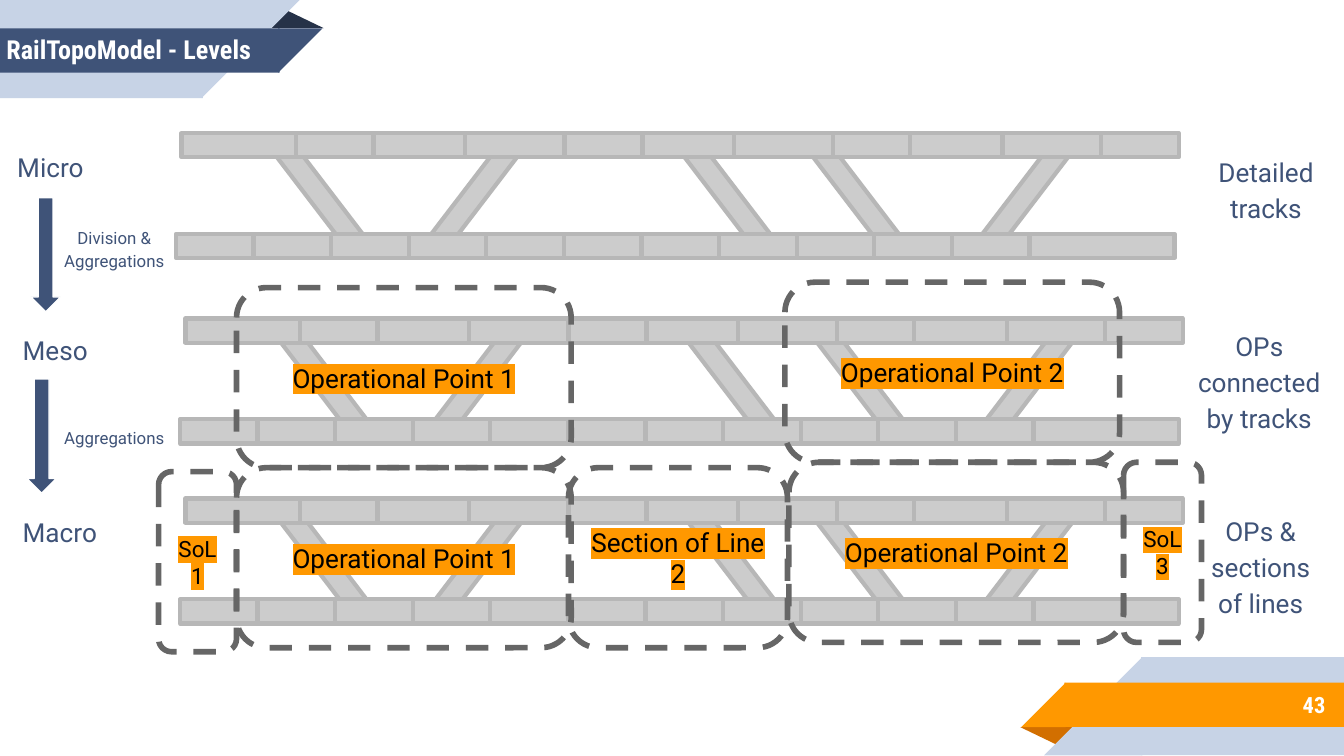
from pptx import Presentation
from pptx.dml.color import RGBColor
from pptx.enum.dml import MSO_LINE_DASH_STYLE as Dash
from pptx.enum.shapes import MSO_SHAPE as Shape
from pptx.enum.text import MSO_ANCHOR as Anchor, PP_ALIGN as Align
from pptx.oxml.ns import qn
from pptx.util import Inches, Pt
from lxml.etree import SubElement

NAVY, ORANGE, PALE, WHITE = "3F5378", "FF9800", "C7D3E6", "FFFFFF"
STEEL, STEEL_EDGE, DASH_GREY = "CCCCCC", "B7B7B7", "666666"
TOP_JOINTS = [0.04, 0.89, 1.47, 2.15, 2.89, 3.47, 4.15, 4.89, 5.46, 6.15, 6.88, 7.46]
BOTTOM_JOINTS = [6.35 * step / 11 for step in range(12)] + [7.43]
CROSSOVERS = [(4.59, 0.4, 52.6), (5.85, 0.37, 307.4), (0.6, 0.4, 52.6),
              (3.61, 0.37, 52.6), (1.75, 0.37, 307.4)]


def colour(value):
    """Turn a hex string into a colour."""
    return RGBColor.from_string(value)


def add_part(page, kind, box, fill=None, line=None, width=1, rotation=0, flip=False):
    """Add one preset shape with a flat fill and an optional outline."""
    part = page.shapes.add_shape(kind, *map(Inches, box))
    part.shadow.inherit = False
    part.rotation = rotation
    if fill:
        part.fill.solid()
        part.fill.fore_color.rgb = colour(fill)
    else:
        part.fill.background()
    if line:
        part.line.color.rgb = colour(line)
        part.line.width = Pt(width)
    else:
        part.line.fill.background()
    if flip:
        part._element.spPr.find(qn("a:xfrm")).set("flipH", "1")
    return part


def write(holder, text, size, ink=NAVY, align=Align.CENTER, anchor=Anchor.TOP,
          face="Roboto", bold=False, spacing=1.0, highlight=None):
    """Write one paragraph into a shape or text box."""
    frame = holder.text_frame
    margins = {f"margin_{side}": Inches(0.1) for side in ("left", "top", "right", "bottom")}
    for name, value in {"word_wrap": True, "vertical_anchor": anchor, **margins}.items():
        setattr(frame, name, value)
    para = frame.paragraphs[0]
    para.alignment, para.line_spacing = align, spacing
    span = para.add_run()
    span.text = text
    for name, value in {"name": face, "size": Pt(size), "bold": bold}.items():
        setattr(span.font, name, value)
    span.font.color.rgb = colour(ink)
    if highlight:
        props = span._r.get_or_add_rPr()
        marker = SubElement(props, qn("a:highlight"))
        SubElement(marker, qn("a:srgbClr"), val=highlight)
        props.find(qn("a:solidFill")).addnext(marker)


def add_label(page, box, text, size, **style):
    """Add a text box holding one paragraph."""
    write(page.shapes.add_textbox(*map(Inches, box)), text, size, **style)


def add_banner(page, box, bar, fold, turned=False):
    """Draw a folded ribbon in its box, turned half round if asked."""
    left, top, width, height = box
    parts = [(Shape.ISOSCELES_TRIANGLE, 1.98, 0.07, 0.43, 0.14, fold),
             (Shape.RECTANGLE, 0, 0, 1.51, 0.73, PALE),
             (Shape.RIGHT_TRIANGLE, 1.5, 0, 0.73, 0.73, PALE),
             (Shape.RECTANGLE, 0, 0.21, 2.08, 0.33, bar),
             (Shape.RIGHT_TRIANGLE, 2.07, 0.21, 0.33, 0.33, bar)]
    for kind, x, y, w, h, fill in parts:
        if turned:
            x, y = width - x - w, height - y - h
        is_fold = kind == Shape.ISOSCELES_TRIANGLE
        part = add_part(page, kind, (left + x, top + y, w, h), fill,
                        rotation=180 if is_fold == turned else 0, flip=not is_fold)
        if is_fold:
            part.adjustments[0] = 0.324


def add_tracks(page, left, top):
    """Draw two rails of track segments joined by crossovers."""
    steel = {"fill": STEEL, "line": STEEL_EDGE, "width": 2.25}
    for x, y, angle in CROSSOVERS:
        add_part(page, Shape.RECTANGLE, (left + x, top + y, 0.96, 0.16),
                 rotation=angle, **steel)
    for y, joints in ((0.75, BOTTOM_JOINTS), (0, TOP_JOINTS)):
        for start, end in zip(joints, joints[1:]):
            add_part(page, Shape.RECTANGLE, (left + start, top + y, end - start, 0.18), **steel)


def add_zone(page, left, top, width, text, size=14):
    """Draw a dashed zone with a highlighted name."""
    zone = add_part(page, Shape.ROUNDED_RECTANGLE, (left, top, width, 1.34),
                    line=DASH_GREY, width=3)
    zone.line.dash_style = Dash.DASH
    write(zone, text, size, ink="000000", anchor=Anchor.MIDDLE, highlight=ORANGE)


def add_levels(page, left, top):
    """Place the level names, the arrows and the notes on each step."""
    for x, y, name in ((0, 0, "Micro"), (0.04, 1.36, "Meso"), (0.04, 2.72, "Macro")):
        add_label(page, (left + x, top + y, 0.86, 0.44), name, 14,
                  align=Align.LEFT, spacing=1.15)
    for x, y in ((0.2, 0.48), (0.17, 1.83)):
        add_part(page, Shape.DOWN_ARROW, (left + x, top + y, 0.22, 0.85), NAVY, WHITE, 0.75)
    for y, h, note in ((0.58, 0.53, "Division & Aggregations"), (2.08, 0.35, "Aggregations")):
        add_label(page, (left + 0.3, top + y, 1.04, h), note, 9, spacing=1.15)


def add_descriptions(page, left, top):
    """Describe each level at the right of its tracks."""
    for x, y, w, h, text in ((0.09, 0, 1.08, 0.71, "Detailed tracks"),
                             (0, 1.29, 1.16, 0.98, "OPs connected by tracks"),
                             (0.05, 2.67, 1.08, 0.98, "OPs & sections of lines")):
        add_label(page, (left + x, top + y, w, h), text, 14, spacing=1.15)


def build_page(page):
    """Compose the whole slide."""
    add_banner(page, (7.6, 4.89, 2.4, 0.73), ORANGE, "D26F00", turned=True)
    add_banner(page, (0, 0, 2.4, 0.73), NAVY, "263248")
    heading = {"ink": WHITE, "anchor": Anchor.MIDDLE, "face": "Roboto Condensed", "bold": True}
    add_label(page, (8.33, 5.07, 1.63, 0.35), "43", 12, align=Align.RIGHT, **heading)
    add_label(page, (-0.05, 0.14, 2.73, 0.45), "RailTopoModel - Levels", 14,
              align=Align.LEFT, **heading)
    for left, top in ((1.31, 0.99), (1.34, 2.37), (1.34, 3.71)):
        add_tracks(page, left, top)
    add_levels(page, 0.03, 0.99)
    add_descriptions(page, 8.79, 1.03)
    for zone in ((1.76, 2.14, 2.49, "Operational Point 1"),
                 (5.84, 2.1, 2.49, "Operational Point 2"),
                 (1.76, 3.48, 2.49, "Operational Point 1"),
                 (5.87, 3.44, 2.49, "Operational Point 2"),
                 (4.23, 3.48, 1.63, "Section of Line 2"),
                 (1.18, 3.51, 0.58, "SoL1", 12),
                 (8.36, 3.44, 0.58, "SoL3", 12)):
        add_zone(page, *zone)


def main():
    """Create the deck and save it."""
    deck = Presentation()
    deck.slide_width = Inches(10)
    deck.slide_height = deck.slide_width * 9 // 16
    build_page(deck.slides.add_slide(deck.slide_layouts[6]))
    deck.save("out.pptx")


if __name__ == "__main__":
    main()
